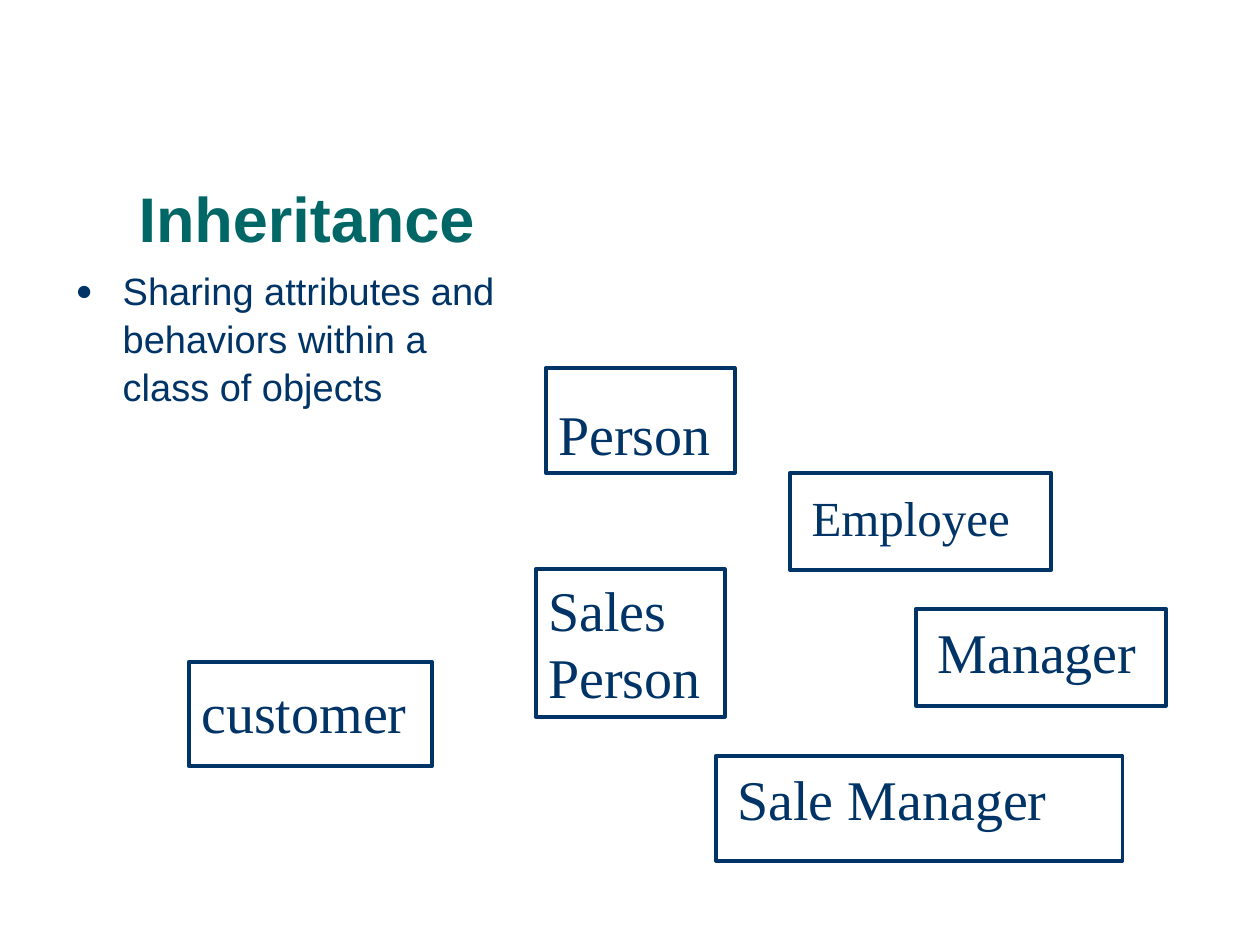
from lxml import etree
from pptx import Presentation
from pptx.dml.color import RGBColor
from pptx.enum.shapes import MSO_SHAPE as Shape
from pptx.enum.text import MSO_ANCHOR as Anchor, MSO_AUTO_SIZE as AutoSize, PP_ALIGN as Align
from pptx.oxml.ns import qn
from pptx.util import Cm, Pt

NAVY, TEAL = "003366", "006666"
BOX_TEXT = {"name": "Times New Roman", "size": Pt(32), "bold": False}
TITLE_TEXT = {"name": "Arial", "size": Pt(36), "bold": True}
BODY_TEXT = {"name": "Arial", "size": Pt(21.7), "bold": False}

CLASSES = [
    ("Person", (11, 7.42, 3.81, 2.11), (0, 0.5), 32),
    ("customer", (3.81, 13.34, 4.9, 2.11), (0, 0.2), 32),
    ("Employee", (15.93, 9.53, 5.26, 1.96), (0.18, 0.18), 28),
    ("Sales\nPerson", (10.8, 11.48, 3.81, 2.97), (0, 0), 32),
    ("Manager", (18.47, 12.27, 5.03, 1.96), (0.18, 0.05), 32),
    ("Sale Manager", (14.43, 15.24, 8.2, 2.11), (0.18, 0.05), 32),
]


def rgb(value):
    return RGBColor.from_string(value)


def apply(obj, values):
    for name, value in values.items():
        setattr(obj, name, value)


def place(sp, box):
    apply(sp, dict(zip(("left", "top", "width", "height"), map(Cm, box))))


def write(tf, text, font, color, **para):
    tf.text = text
    for p in tf.paragraphs:
        apply(p, {"alignment": Align.LEFT, **para})
        for r in p.runs:
            apply(r.font, font)
            r.font.color.rgb = rgb(color)


def add_bullet(p, color, percent, char, indent):
    pPr = p._p.get_or_add_pPr()
    pPr.set("marL", str(Cm(indent)))
    pPr.set("indent", str(-Cm(indent)))
    clr = etree.SubElement(pPr, qn("a:buClr"))
    etree.SubElement(clr, qn("a:srgbClr"), val=color)
    etree.SubElement(pPr, qn("a:buSzPct"), val=str(percent * 1000))
    etree.SubElement(pPr, qn("a:buChar"), char=char)


def title_region(sp, box):
    place(sp, box)
    apply(sp.text_frame, {"vertical_anchor": Anchor.BOTTOM, "auto_size": AutoSize.NONE})
    write(sp.text_frame, "Inheritance", TITLE_TEXT, TEAL, line_spacing=0.9)


def body_region(sp, box):
    place(sp, box)
    tf = sp.text_frame
    apply(tf, {"vertical_anchor": Anchor.TOP, "auto_size": AutoSize.NONE})
    write(tf, "Sharing attributes and behaviors within a class of objects",
          BODY_TEXT, NAVY, space_before=Pt(7), line_spacing=1.05)
    add_bullet(tf.paragraphs[0], NAVY, 75, "●", 0.95)


def class_box(slide, text, box, offset, size):
    left, top, width, height = box
    dx, dy = offset
    sp = slide.shapes.add_shape(Shape.RECTANGLE, *map(Cm, box))
    sp.shadow.inherit = False
    sp.fill.background()
    sp.line.color.rgb = rgb(NAVY)
    sp.line.width = Pt(2.25)
    label = slide.shapes.add_textbox(Cm(left + dx), Cm(top + dy),
                                     Cm(width - 2 * dx), Cm(height - dy))
    label.text_frame.word_wrap = True
    write(label.text_frame, text, {**BOX_TEXT, "size": Pt(size)}, NAVY)


def main():
    prs = Presentation()
    apply(prs, {"slide_width": Cm(25.4), "slide_height": Cm(19.05)})
    slide = prs.slides.add_slide(prs.slide_layouts[1])
    title_region(slide.shapes.title, (2.54, 2.11, 22.23, 3.18))
    body_region(slide.placeholders[1], (1.27, 5.23, 9.53, 3.23))
    for item in CLASSES:
        class_box(slide, *item)
    prs.save("out.pptx")


if __name__ == "__main__":
    main()
